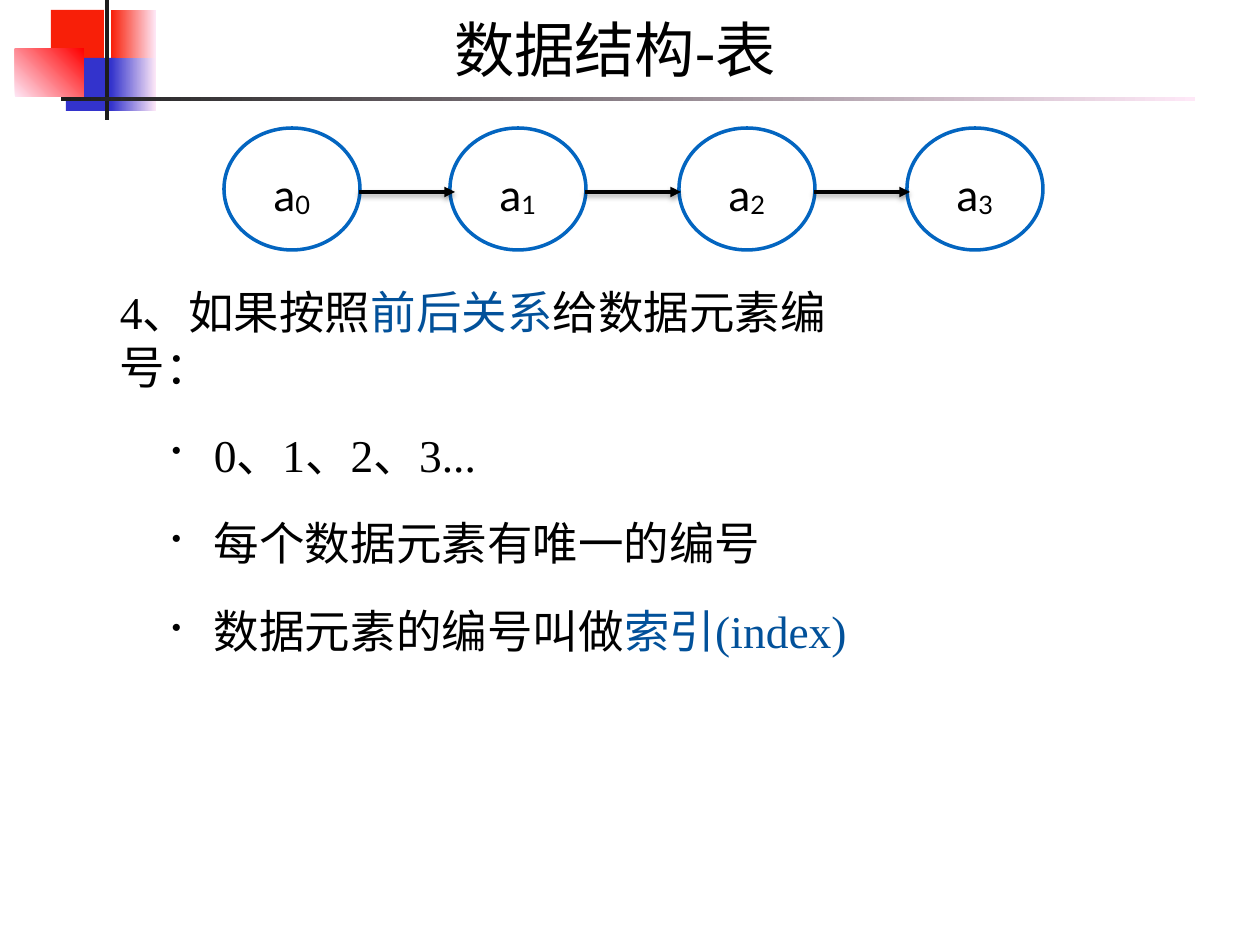
import itertools
from dataclasses import dataclass

import lxml.etree
import pptx
import pptx.dml.color
import pptx.enum.shapes
import pptx.enum.text
import pptx.oxml
import pptx.oxml.ns
import pptx.util

EMU_PER_PX = 914400 / 126
SHAPE = pptx.enum.shapes.MSO_SHAPE
ALIGN = pptx.enum.text.PP_ALIGN


def px(length):
    return pptx.util.Emu(round(length * EMU_PER_PX))


def rgb(colour):
    return pptx.dml.color.RGBColor.from_string(colour)


def add_xml(parent, xml):
    element = pptx.oxml.parse_xml(xml.replace(" ", f" {pptx.oxml.ns.nsdecls('a')} ", 1))
    parent.append(element)


@dataclass(frozen=True)
class Theme:
    ink: str = "000000"
    paper: str = "FFFFFF"
    accent: str = "02519A"
    node_line: str = "0365C0"
    scarlet: str = "F81F08"
    red: str = "FF0000"
    indigo: str = "3333CC"
    charcoal: str = "1C1C1C"
    blush: str = "FEE8F7"
    serif: str = "Times New Roman"
    sans: str = "Lato"
    title_size: float = 34.4
    body_size: float = 26
    node_size: float = 25
    stroke: float = 2


class SlideBuilder:
    def __init__(self, slide, theme):
        self.slide = slide
        self.theme = theme

    def block(self, box, colours, angle=0):
        block = self.slide.shapes.add_shape(SHAPE.RECTANGLE, *map(px, box))
        block.shadow.inherit = False
        block.line.fill.background()
        if len(colours) == 1:
            block.fill.solid()
            block.fill.fore_color.rgb = rgb(colours[0])
            return
        block.fill.gradient()
        block.fill.gradient_angle = angle
        for stop, colour, position in zip(block.fill.gradient_stops, colours, (0, 1)):
            stop.color.rgb = rgb(colour)
            stop.position = position

    def frame(self, holder, inset):
        frame = holder.text_frame
        frame.word_wrap = True
        frame.vertical_anchor = pptx.enum.text.MSO_ANCHOR.MIDDLE
        frame.margin_left = frame.margin_right = px(inset)
        frame.margin_top = frame.margin_bottom = px(inset)
        return frame

    def run(self, paragraph, text, size, font, colour):
        run = paragraph.add_run()
        run.text = text
        run.font.size = pptx.util.Pt(size)
        run.font.name = font
        run.font.color.rgb = rgb(colour)
        return run

    def title(self, box, text):
        frame = self.frame(self.slide.shapes.add_textbox(*map(px, box)), 5)
        heading = frame.paragraphs[0]
        heading.alignment = ALIGN.CENTER
        self.run(heading, text, self.theme.title_size, self.theme.serif, self.theme.ink)

    def node(self, box, letter, index):
        node = self.slide.shapes.add_shape(SHAPE.OVAL, *map(px, box))
        node.shadow.inherit = False
        node.fill.solid()
        node.fill.fore_color.rgb = rgb(self.theme.paper)
        node.line.color.rgb = rgb(self.theme.node_line)
        node.line.width = pptx.util.Pt(self.theme.stroke)
        label = self.frame(node, 8).paragraphs[0]
        label.alignment = ALIGN.CENTER
        label.line_spacing = 1.2
        style = self.theme.node_size, self.theme.sans, self.theme.ink
        self.run(label, letter, *style)
        subscript = self.run(label, str(index), *style)
        subscript.font._element.set("baseline", "-6000")

    def arrow(self, left, right, y):
        arrow = self.slide.shapes.add_connector(
            pptx.enum.shapes.MSO_CONNECTOR.STRAIGHT, px(left), px(y), px(right), px(y))
        arrow.line.color.rgb = rgb(self.theme.ink)
        arrow.line.width = pptx.util.Pt(self.theme.stroke)
        add_xml(arrow.line._get_or_add_ln(), '<a:tailEnd type="triangle"/>')
        add_xml(arrow._element.spPr,
                '<a:effectLst ><a:outerShdw blurRad="38100" dist="20320" dir="5400000">'
                f'<a:srgbClr val="{self.theme.ink}"><a:alpha val="38000"/></a:srgbClr>'
                '</a:outerShdw></a:effectLst>')

    def body(self, box, points):
        frame = self.frame(self.slide.shapes.add_textbox(*map(px, box)), 8)
        for number, parts in enumerate(points):
            point = frame.add_paragraph() if number else frame.paragraphs[0]
            properties = point._p.get_or_add_pPr()
            if number:
                point.level = 1
                point.line_spacing = 1.2
                point.space_before = pptx.util.Pt(13)
                properties.set("marL", str(px(99)))
                properties.set("indent", str(-px(42)))
                add_xml(properties, '<a:buSzPct val="60000"/>')
                add_xml(properties, '<a:buChar char="•"/>')
            else:
                properties.set("marL", str(px(5)))
            for text, colour in parts:
                self.run(point, text, self.theme.body_size, self.theme.serif, colour)


def main():
    theme = Theme()
    deck = pptx.Presentation()
    deck.slide_width, deck.slide_height = px(1260), px(945)
    builder = SlideBuilder(deck.slides.add_slide(deck.slide_layouts[6]), theme)

    builder.block((111, 10, 45, 66), (theme.scarlet, theme.blush))
    builder.block((51, 10, 53, 53), (theme.scarlet,))
    builder.block((66, 58, 50, 53), (theme.indigo,))
    builder.block((111, 58, 45, 53), (theme.indigo, theme.blush))
    builder.block((15, 49, 69, 48), (theme.blush, theme.red), 45)
    builder.block((105, 0, 4, 120), (theme.charcoal,))
    builder.block((61, 97, 1134, 4), (theme.charcoal, theme.blush))

    builder.title((157, 2, 916, 92), "数据结构-表")

    node_width, node_height, node_top = 136, 122, 128
    node_lefts = (224, 450, 679, 907)
    for index, left in enumerate(node_lefts):
        builder.node((left, node_top, node_width, node_height), "a", index)
    for left in node_lefts[:-1]:
        start = left + node_width - 1
        builder.arrow(start, start + 96, 192)

    builder.body((107, 284, 770, 374), (
        (("4、如果按照", theme.ink), ("前后关系", theme.accent),
         ("给数据元素编号：", theme.ink)),
        (("0、1、2、3...", theme.ink),),
        (("每个数据元素有唯一的编号", theme.ink),),
        (("数据元素的编号叫做", theme.ink), ("索引(index)", theme.accent)),
    ))
    deck.save("out.pptx")


if __name__ == "__main__":
    main()
